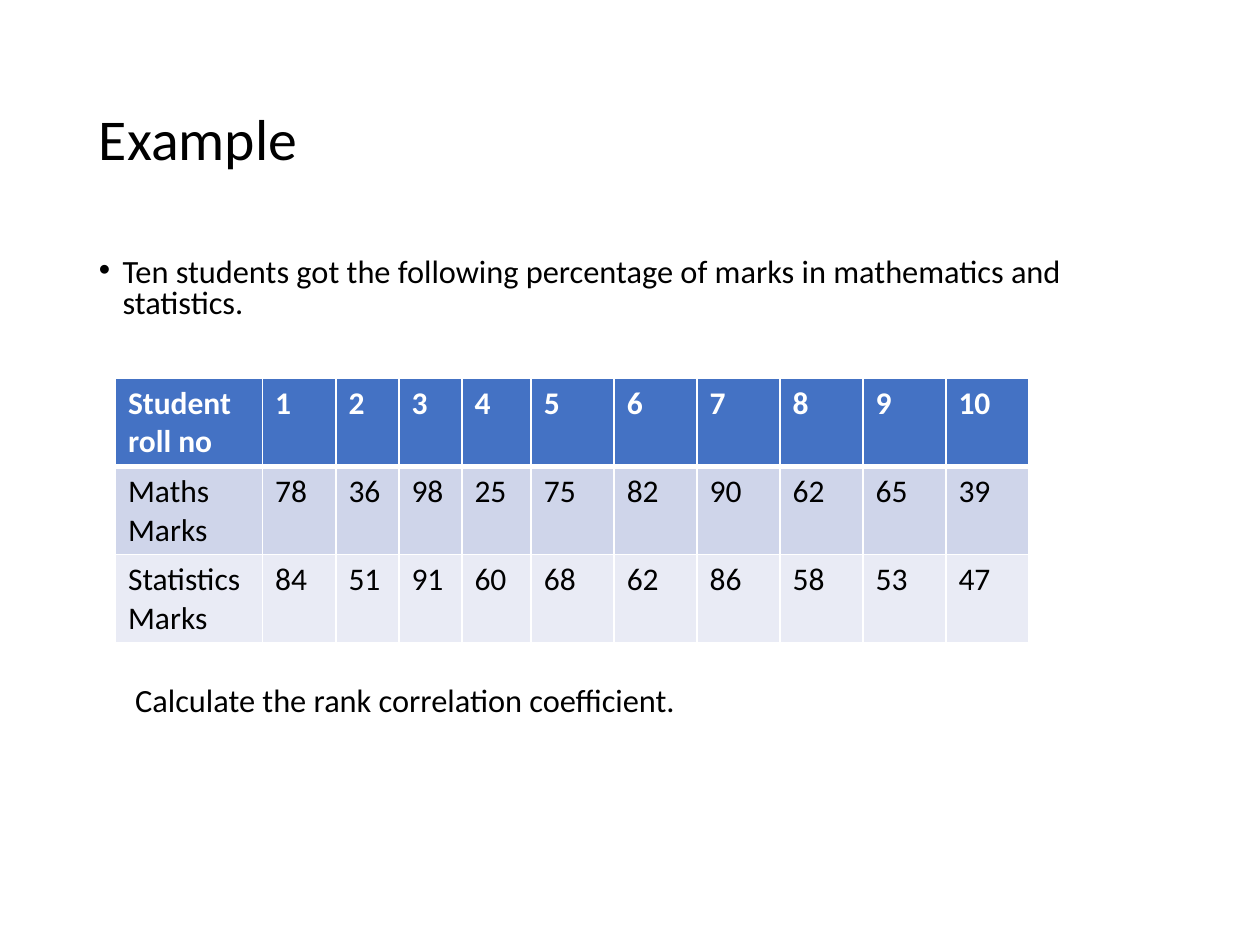
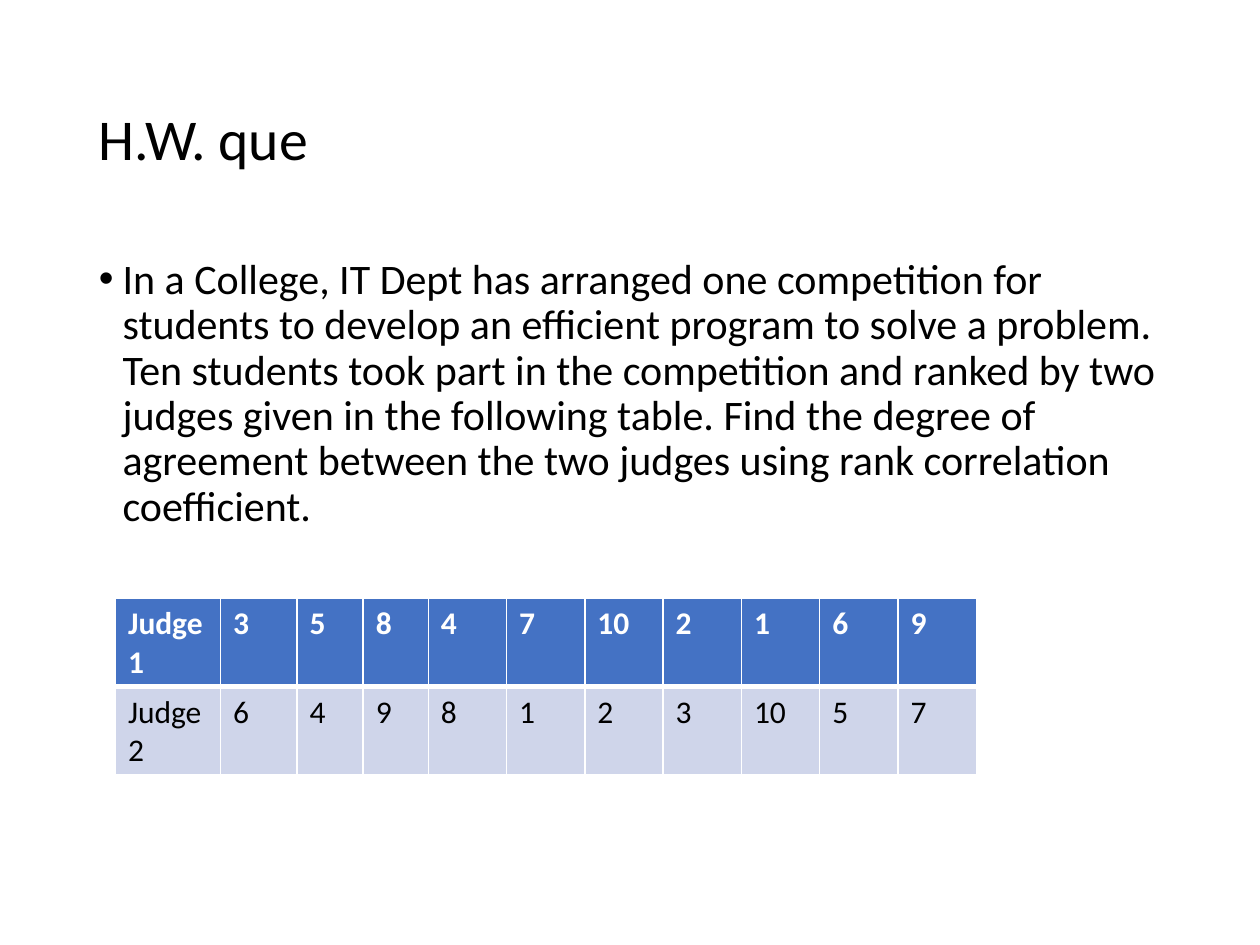
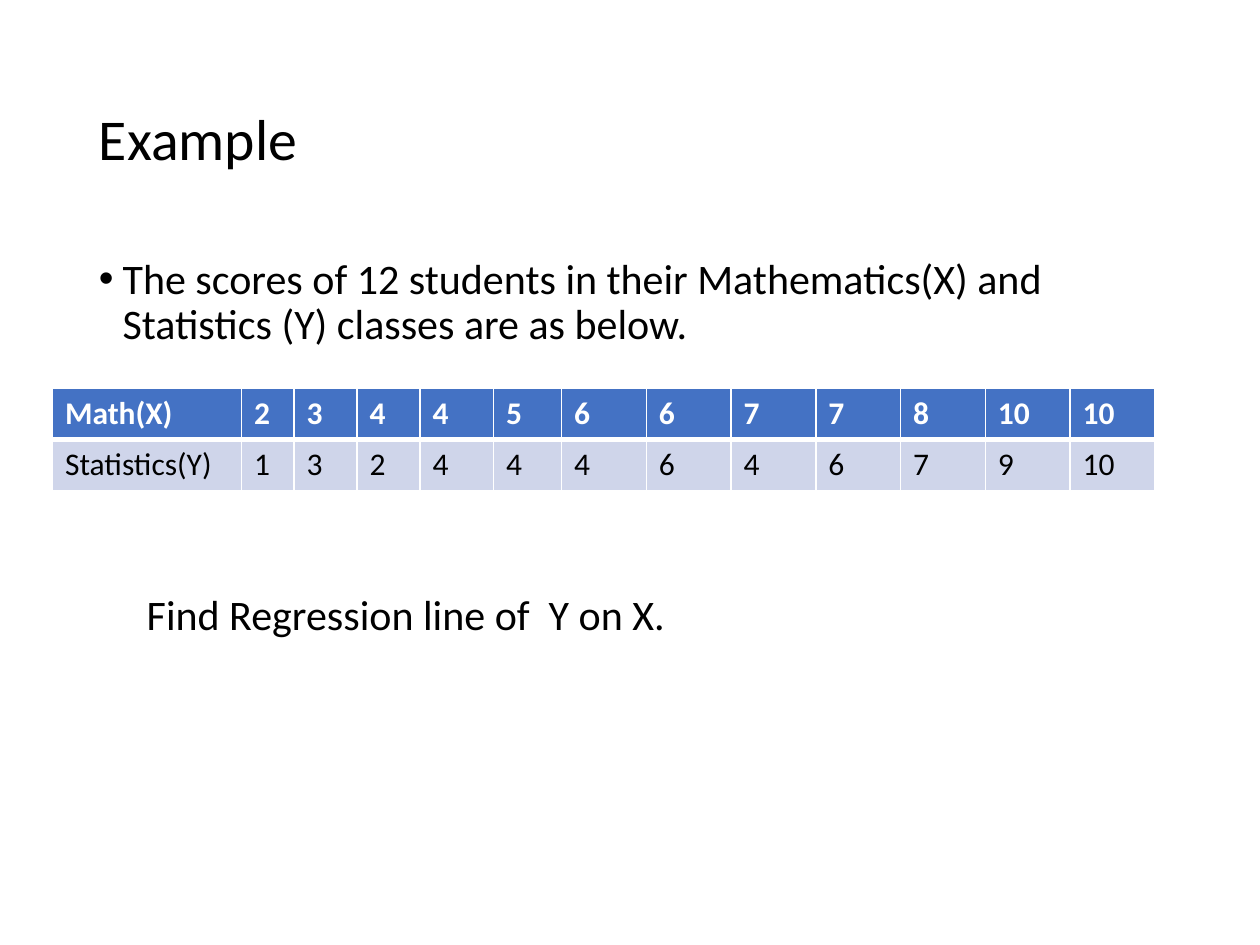
import pptx
import pptx.dml.color
import pptx.enum.text
import pptx.oxml
import pptx.oxml.ns
import pptx.util

# Grid: 12 units to the inch, so the slide is 120 columns by 90 rows
COLUMNS, ROWS = 120, 90
TEXT_LEFT, TEXT_WIDTH = 8.25, 103.5
HANGING = 2.25
TABLE_ROW = 4.87


def colour(hex_text):
    return pptx.dml.color.RGBColor.from_string(hex_text)


class Deck:
    """The shared style and the slide being filled."""

    font = "Calibri"
    ink, paper = "000000", "FFFFFF"
    header_fill = "4472C4"
    band_fills = ("CFD5EA", "E9EBF5")

    def __init__(self):
        self.presentation = pptx.Presentation()
        self.presentation.slide_width = pptx.util.Inches(10)
        self.presentation.slide_height = pptx.util.Inches(7.5)
        self.slide = None

    def x(self, columns):
        return round(self.presentation.slide_width * columns / COLUMNS)

    def y(self, rows):
        return round(self.presentation.slide_height * rows / ROWS)

    def new_slide(self, title):
        blank = self.presentation.slide_layouts[6]
        self.slide = self.presentation.slides.add_slide(blank)
        heading = self.text_frame(4.8, 17.4)
        heading.vertical_anchor = pptx.enum.text.MSO_ANCHOR.MIDDLE
        heading.paragraphs[0].line_spacing = 0.9
        self.run(heading.paragraphs[0], title, 33)

    def text_frame(self, top, height):
        box = self.slide.shapes.add_textbox(
            self.x(TEXT_LEFT), self.y(top), self.x(TEXT_WIDTH), self.y(height))
        box.text_frame.word_wrap = True
        return box.text_frame

    def run(self, paragraph, text, size, ink=ink, bold=False):
        run = paragraph.add_run()
        run.text = text
        run.font.name = self.font
        run.font.size = pptx.util.Pt(size)
        run.font.bold = bold
        run.font.color.rgb = colour(ink)

    def body(self, question, size, spacing, task=None, task_indent=0, task_gap=0):
        """A bulleted question and, below the table, an indented task."""
        frame = self.text_frame(24, 57.1)
        bullet = frame.paragraphs[0]
        bullet.line_spacing = spacing
        bullet.space_before = pptx.util.Pt(7.5)
        properties = bullet._p.get_or_add_pPr()
        properties.set("marL", str(self.x(HANGING)))
        properties.set("indent", str(-self.x(HANGING)))
        for tag, key, value in (("buFont", "typeface", "Arial"), ("buChar", "char", "•")):
            mark = pptx.oxml.parse_xml(
                f'<a:{tag} {pptx.oxml.ns.nsdecls("a")} {key}="{value}"/>')
            properties.append(mark)
        self.run(bullet, question, size)
        if task:
            closing = frame.add_paragraph()
            closing.line_spacing = spacing
            closing.space_before = pptx.util.Pt(task_gap)
            closing._p.get_or_add_pPr().set("marL", str(self.x(task_indent)))
            self.run(closing, task, size)

    def table(self, left, top, width, first_widths, records):
        """Columns after the given widths share the rest of the table equally."""
        count = len(records[0])
        others = count - len(first_widths)
        widths = first_widths + [(width - sum(first_widths)) / others] * others
        table = self.slide.shapes.add_table(
            len(records), count, self.x(left), self.y(top),
            self.x(width), self.y(TABLE_ROW * len(records))).table
        for column, column_width in zip(table.columns, widths):
            column.width = self.x(column_width)
        for row, record in enumerate(records):
            header = row == 0
            fill = self.header_fill if header else self.band_fills[(row - 1) % 2]
            for column, value in enumerate(record):
                cell = table.cell(row, column)
                self.borders(cell, top=3 if row == 1 else 1, bottom=3 if header else 1)
                cell.fill.solid()
                cell.fill.fore_color.rgb = colour(fill)
                self.run(cell.text_frame.paragraphs[0], str(value), 18,
                         self.paper if header else self.ink, header)

    def borders(self, cell, top, bottom):
        properties = cell._tc.get_or_add_tcPr()
        for side, points in (("L", 1), ("R", 1), ("T", top), ("B", bottom)):
            properties.append(pptx.oxml.parse_xml(
                f'<a:ln{side} {pptx.oxml.ns.nsdecls("a")} w="{pptx.util.Pt(points)}">'
                f'<a:solidFill><a:srgbClr val="{self.paper}"/></a:solidFill>'
                f'</a:ln{side}>'))


def main():
    deck = Deck()

    # Rank correlation of marks
    deck.new_slide("Example")
    deck.body("Ten students got the following percentage of marks in mathematics "
              "and statistics.", 18.5, 0.8,
              "Calculate the rank correlation coefficient.", 3.45, 210)
    deck.table(11, 36, 87, [14, 7, 6, 6, 6.6], [
        ["Student roll no", *range(1, 11)],
        ["Maths Marks", 78, 36, 98, 25, 75, 82, 90, 62, 65, 39],
        ["Statistics Marks", 84, 51, 91, 60, 68, 62, 86, 58, 53, 47],
    ])

    # Homework: agreement of two judges
    deck.new_slide("H.W. que")
    deck.body("In a College, IT Dept has arranged one competition for students to "
              "develop an efficient program to solve a problem. Ten students took "
              "part in the competition and ranked by two judges given in the "
              "following table. Find the degree of agreement between the two judges "
              "using rank correlation coefficient.", 24, 0.9)
    deck.table(11, 57, 82, [10, 7.3, 6.3, 6.2], [
        ["Judge 1", 3, 5, 8, 4, 7, 10, 2, 1, 6, 9],
        ["Judge 2", 6, 4, 9, 8, 1, 2, 3, 10, 5, 7],
    ])

    # Regression of scores
    deck.new_slide("Example")
    deck.body("The scores of 12 students in their Mathematics(X) and Statistics (Y) "
              "classes are as below.", 24, 0.9,
              "Find Regression line of  Y on X.", 4.55, 140)
    deck.table(5, 37, 105, [18, 5, 6, 6, 7, 6.5], [
        ["Math(X)", 2, 3, 4, 4, 5, 6, 6, 7, 7, 8, 10, 10],
        ["Statistics(Y)", 1, 3, 2, 4, 4, 4, 6, 4, 6, 7, 9, 10],
    ])

    deck.presentation.save("out.pptx")


if __name__ == "__main__":
    main()
